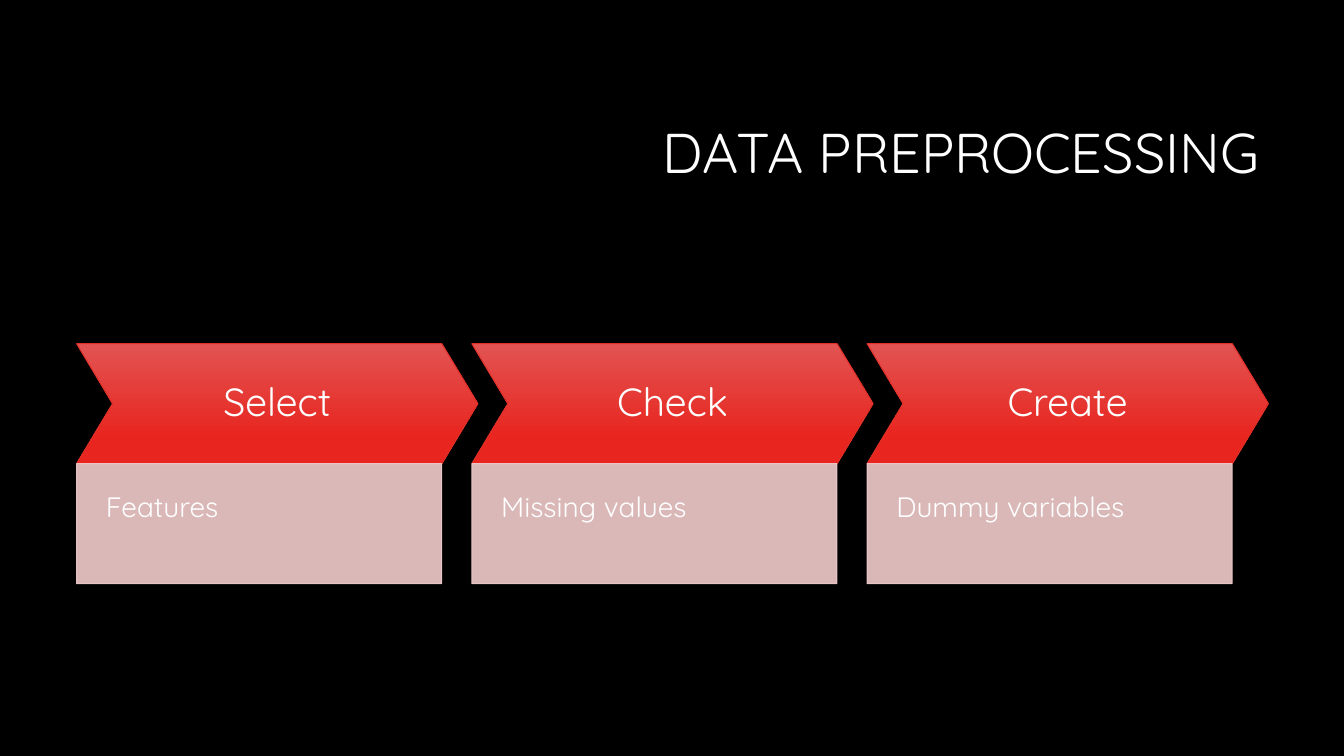
from lxml.etree import SubElement
from pptx import Presentation
from pptx.dml.color import RGBColor
from pptx.enum.shapes import MSO_SHAPE
from pptx.enum.text import MSO_ANCHOR, PP_ALIGN
from pptx.oxml.ns import qn
from pptx.util import Inches, Pt

STEPS = [
    ("Select", "Features"),
    ("Check", "Missing values"),
    ("Create", "Dummy variables"),
]
LEFT, STEP_PITCH = 0.76, 3.92
CHEVRON_TOP, ROW_HEIGHT = 3.41, 1.19
CHEVRON_WIDTH, DETAIL_WIDTH = 3.98, 3.62


def color(hex_value):
    return RGBColor.from_string(hex_value)


def write(shape, text, size, align, anchor, margins):
    frame = shape.text_frame
    frame.word_wrap = True
    frame.vertical_anchor = anchor
    (frame.margin_left, frame.margin_top,
     frame.margin_right, frame.margin_bottom) = map(Inches, margins)
    frame.text = text
    paragraph = frame.paragraphs[0]
    paragraph.alignment = align
    paragraph.line_spacing = 0.9
    paragraph.font.name = "Quicksand"
    paragraph.font.size = Pt(size)
    paragraph.font.color.rgb = color("FFFFFF")


def add_block(slide, kind, left, top, width, line_color):
    block = slide.shapes.add_shape(
        kind, Inches(left), Inches(top), Inches(width), Inches(ROW_HEIGHT))
    block.shadow.inherit = False
    block.line.color.rgb = color(line_color)
    block.line.width = Pt(0.75)
    return block


def add_step(slide, left, name):
    step = add_block(slide, MSO_SHAPE.CHEVRON, left, CHEVRON_TOP,
                     CHEVRON_WIDTH, "DF2E28")
    step.adjustments[0] = 0.3
    step.fill.gradient()
    step.fill.gradient_angle = 270
    shades = [(0, "E25452"), (0.78, "E8251F")]
    for stop, (position, shade) in zip(step.fill.gradient_stops, shades):
        stop.position = position
        stop.color.rgb = color(shade)
    write(step, name, 28, PP_ALIGN.CENTER, MSO_ANCHOR.MIDDLE, [0.15] * 4)


def add_detail(slide, left, text):
    detail = add_block(slide, MSO_SHAPE.RECTANGLE, left,
                       CHEVRON_TOP + ROW_HEIGHT, DETAIL_WIDTH, "F3CDCD")
    detail.fill.solid()
    detail.fill.fore_color.rgb = color("F3CDCD")
    for tint in detail.element.spPr.iter(qn("a:srgbClr")):
        SubElement(tint, qn("a:alpha"), val="90000")
    write(detail, text, 20, PP_ALIGN.LEFT, MSO_ANCHOR.TOP,
          [0.29, 0.29, 0.29, 0.57])


def add_title(slide, text):
    title = slide.shapes.title
    title.left, title.top = Inches(3.17), Inches(0.84)
    title.width, title.height = Inches(9.42), Inches(1.41)
    write(title, text, 40, PP_ALIGN.RIGHT, MSO_ANCHOR.MIDDLE,
          [0.1, 0.05, 0.1, 0.05])


def main():
    deck = Presentation()
    deck.slide_width, deck.slide_height = Inches(13.33), Inches(7.5)
    slide = deck.slides.add_slide(deck.slide_layouts[5])
    slide.background.fill.solid()
    slide.background.fill.fore_color.rgb = color("000000")
    add_title(slide, "DATA PREPROCESSING")
    for index, (name, detail) in enumerate(STEPS):
        left = LEFT + index * STEP_PITCH
        add_step(slide, left, name)
        add_detail(slide, left, detail)
    deck.save("out.pptx")


if __name__ == "__main__":
    main()
